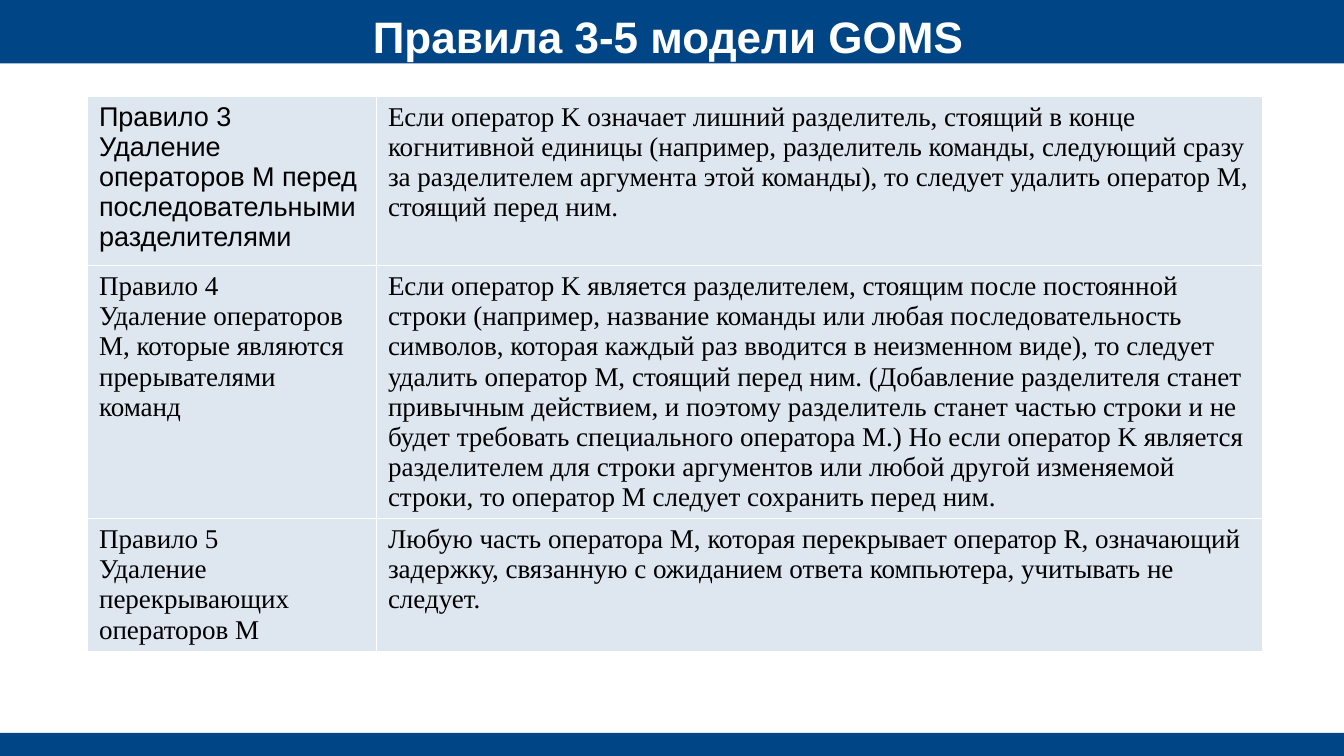
from lxml.etree import SubElement
from pptx import Presentation
from pptx.dml.color import RGBColor
from pptx.enum.shapes import MSO_SHAPE
from pptx.enum.text import MSO_ANCHOR, MSO_AUTO_SIZE, PP_ALIGN
from pptx.oxml.ns import qn
from pptx.util import Cm, Pt

NAVY = RGBColor(0x00, 0x45, 0x86)
PALE_BLUE = RGBColor(0xDE, 0xE6, 0xEF)
WHITE = RGBColor(0xFF, 0xFF, 0xFF)
BLACK = RGBColor(0x00, 0x00, 0x00)

PAGE_WIDTH, PAGE_HEIGHT = Cm(28), Cm(15.75)
COLUMN_WIDTHS = (Cm(6.02), Cm(18.46))
ROW_HEIGHTS = (Cm(3.53), Cm(4.7), Cm(2.46))

RULES = [
    (
        ["Правило 3", "Удаление операторов M перед последовательными разделителями"],
        ["Если оператор K означает лишний разделитель, стоящий в конце "
         "когнитивной единицы (например, разделитель команды, следующий сразу "
         "за разделителем аргумента этой команды), то следует удалить оператор M, "
         "стоящий перед ним."],
    ),
    (
        ["Правило 4", "Удаление операторов M, которые являются прерывателями команд"],
        ["Если оператор K является разделителем, стоящим после постоянной "
         "строки (например, название команды или любая последовательность "
         "символов, которая каждый раз вводится в неизменном виде), то следует "
         "удалить оператор M, стоящий перед ним. (Добавление разделителя станет "
         "привычным действием, и поэтому разделитель станет частью строки и не "
         "будет требовать специального оператора M.) Но если оператор K является "
         "разделителем для строки аргументов или любой другой изменяемой "
         "строки, то оператор M следует сохранить перед ним."],
    ),
    (
        ["Правило 5", "Удаление перекрывающих операторов M"],
        ["Любую часть оператора M, которая перекрывает оператор R, означающий "
         "задержку, связанную с ожиданием ответа компьютера, учитывать не "
         "следует."],
    ),
]


def add_bar(page, top, height):
    bar = page.shapes.add_shape(MSO_SHAPE.RECTANGLE, 0, top, PAGE_WIDTH, height)
    bar.shadow.inherit = False
    bar.fill.solid()
    bar.fill.fore_color.rgb = NAVY
    bar.line.fill.background()


def set_title(page, text):
    """Fill the title placeholder and bring it in front of the bars."""
    title = page.shapes.title
    title.left, title.top, title.width, title.height = Cm(1.2), Cm(0.05), Cm(25.45), Cm(1.4)
    frame = title.text_frame
    frame.margin_left = frame.margin_right = frame.margin_top = frame.margin_bottom = 0
    frame.vertical_anchor = MSO_ANCHOR.MIDDLE
    frame.auto_size = MSO_AUTO_SIZE.NONE
    frame.text = text
    para = frame.paragraphs[0]
    para.alignment = PP_ALIGN.CENTER
    para.font.name, para.font.size, para.font.bold = "Arial", Pt(26), True
    para.font.color.rgb = WHITE
    page.shapes._spTree.append(title._element)


def set_borders(cell):
    properties = cell._tc.get_or_add_tcPr()
    for side in ("a:lnL", "a:lnR", "a:lnT", "a:lnB"):
        line = SubElement(properties, qn(side), w=str(Pt(0.06)))
        fill = SubElement(line, qn("a:solidFill"))
        SubElement(fill, qn("a:srgbClr"), val=str(WHITE))


def fill_cell(cell, lines, font_name):
    set_borders(cell)
    cell.fill.solid()
    cell.fill.fore_color.rgb = PALE_BLUE
    cell.text = "\n".join(lines)
    for para in cell.text_frame.paragraphs:
        para.font.name, para.font.size = font_name, Pt(16)
        para.font.color.rgb = BLACK


def add_rules_table(page):
    table = page.shapes.add_table(
        len(RULES), len(COLUMN_WIDTHS), Cm(1.81), Cm(2),
        sum(COLUMN_WIDTHS), sum(ROW_HEIGHTS)).table
    table.first_row = table.horz_banding = False
    for column, width in zip(table.columns, COLUMN_WIDTHS):
        column.width = width
    for row, height in zip(table.rows, ROW_HEIGHTS):
        row.height = height
    for i, rule in enumerate(RULES):
        for j, lines in enumerate(rule):
            font_name = "Arial" if i == j == 0 else "Times New Roman"
            fill_cell(table.cell(i, j), lines, font_name)


def main():
    deck = Presentation()
    deck.slide_width, deck.slide_height = PAGE_WIDTH, PAGE_HEIGHT
    page = deck.slides.add_slide(deck.slide_layouts.get_by_name("Title Only"))
    add_bar(page, 0, Cm(1.32))
    add_bar(page, Cm(15.27), Cm(0.48))
    add_rules_table(page)
    set_title(page, "Правила 3-5 модели GOMS")
    deck.save("out.pptx")


if __name__ == "__main__":
    main()
